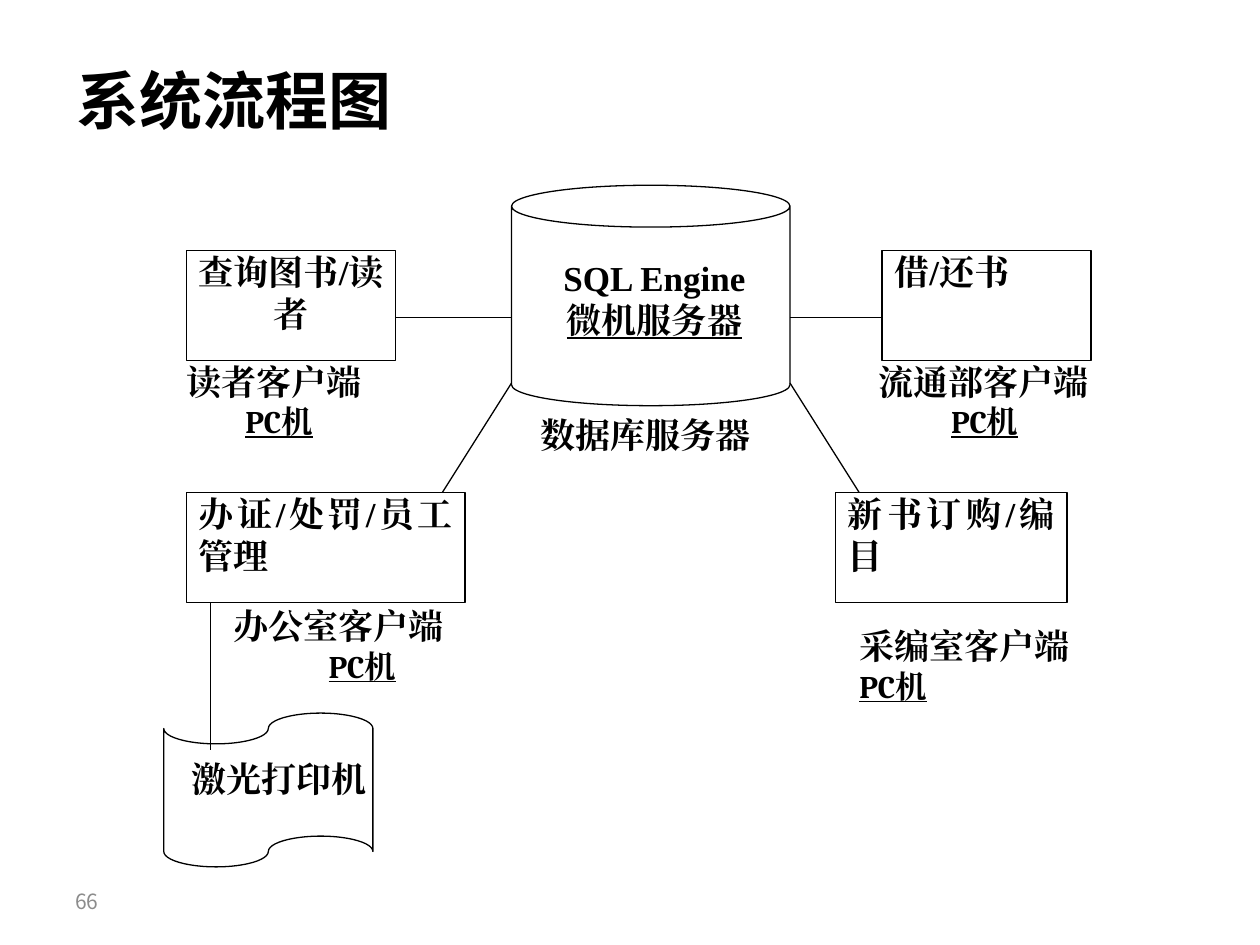
from lxml import etree
from pptx import Presentation
from pptx import util as u
from pptx.dml.color import RGBColor
from pptx.enum import shapes, text
from pptx.oxml.ns import qn

BLACK = RGBColor(0, 0, 0)
GREY = RGBColor(0x8C, 0x8C, 0x8C)
SERIF, LATIN, SANS = "Times New Roman", "Cambria", "Noto Sans CJK SC"
LEFT, CENTER, JUSTIFY = (text.PP_ALIGN.LEFT, text.PP_ALIGN.CENTER,
                         text.PP_ALIGN.JUSTIFY)
INSET = (0.1, 0.05, 0.1, 0.05)
NONE = (0, 0, 0, 0)
BOX_INSET = (0.1, 0, 0.1, 0.05)

# Grid of the diagram
LEFT_X, CAN_X, CAN_RIGHT = 1.48, 4.06, 6.27
TOP_Y, LOWER_Y, BOX_HEIGHT = 1.99, 3.91, 0.87
LINK_Y, CAN_FOOT = 2.52, 3.04


def inches(values):
    return [u.Inches(value) for value in values]


def add_paragraph(frame, words, first=False, size=20, font=SERIF, color=BLACK,
                  bold=True, underline=False, align=JUSTIFY):
    paragraph = frame.paragraphs[0] if first else frame.add_paragraph()
    paragraph.alignment = align
    run = paragraph.add_run()
    run.text = words
    run.font.size, run.font.name = u.Pt(size), font
    run.font.bold, run.font.underline = bold, underline
    run.font.color.rgb = color
    east_asian = etree.SubElement(run.font._element, qn("a:ea"))
    east_asian.set("typeface", font)
    run.font._element.find(qn("a:latin")).addnext(east_asian)


def write(shape, lines, insets=INSET, anchor=text.MSO_ANCHOR.TOP):
    """Fill a shape with (words, format) pairs, one paragraph each."""
    frame = shape.text_frame
    frame.word_wrap = True
    frame.auto_size = text.MSO_AUTO_SIZE.NONE
    frame.vertical_anchor = anchor
    (frame.margin_left, frame.margin_top,
     frame.margin_right, frame.margin_bottom) = inches(insets)
    for index, (words, style) in enumerate(lines):
        add_paragraph(frame, words, first=index == 0, **style)


def add_text(slide, place, lines, **options):
    write(slide.shapes.add_textbox(*inches(place)), lines, **options)


def add_outline(slide, kind, place):
    shape = slide.shapes.add_shape(kind, *inches(place))
    shape.shadow.inherit = False
    shape.fill.background()
    shape.line.color.rgb = BLACK
    shape.line.width = u.Pt(0.75)
    return shape


def add_box(slide, left, top, width, words, insets=BOX_INSET, align=JUSTIFY):
    box = add_outline(slide, shapes.MSO_SHAPE.RECTANGLE,
                      (left, top, width, BOX_HEIGHT))
    write(box, [(words, {"align": align})], insets=insets)


def add_client(slide, place, name, align=CENTER):
    machine = {"size": 18, "font": LATIN, "underline": True, "align": align}
    add_text(slide, place, [(name, {}), ("PC机", machine)], insets=NONE)


def add_link(slide, *ends):
    link = slide.shapes.add_connector(shapes.MSO_CONNECTOR.STRAIGHT,
                                      *inches(ends))
    link.line.color.rgb = BLACK
    link.line.width = u.Pt(0.75)
    etree.SubElement(link._element.spPr, qn("a:effectLst"))


def main():
    presentation = Presentation()
    presentation.slide_width, presentation.slide_height = inches((10, 7.5))
    slide = presentation.slides.add_slide(presentation.slide_layouts[5])

    # Title and page number
    title = slide.shapes.title
    title.left, title.top, title.width, title.height = inches((0.51, 0.44, 9, 1))
    write(title, [("系统流程图", {"size": 36, "font": SANS, "align": LEFT})])
    number = {"size": 12, "font": SANS, "color": GREY, "bold": False, "align": LEFT}
    add_text(slide, (0.5, 6.95, 2.33, 0.4), [("66", number)],
             anchor=text.MSO_ANCHOR.MIDDLE)

    # Client functions
    add_box(slide, LEFT_X, TOP_Y, 1.66, "查询图书/读者", insets=NONE, align=CENTER)
    add_box(slide, 7, TOP_Y, 1.66, "借/还书")
    add_box(slide, LEFT_X, LOWER_Y, 2.21, "办证/处罚/员工管理")
    add_box(slide, 6.63, LOWER_Y, 1.84, "新书订购/编目")

    # Links from the clients to the server
    add_link(slide, 3.14, LINK_Y, CAN_X, LINK_Y)
    add_link(slide, CAN_RIGHT, LINK_Y, 7, LINK_Y)
    add_link(slide, CAN_X, CAN_FOOT, CAN_X - 0.55, LOWER_Y)
    add_link(slide, CAN_RIGHT, CAN_FOOT, CAN_RIGHT + 0.55, LOWER_Y)

    # Client labels
    label_y = TOP_Y + BOX_HEIGHT
    add_client(slide, (LEFT_X, label_y, 1.47, 0.73), "读者客户端")
    add_client(slide, (1.85, 4.8, 2.05, 0.68), "办公室客户端")
    add_client(slide, (6.82, 4.96, 1.81, 0.52), "采编室客户端", align=JUSTIFY)
    add_client(slide, (6.97, label_y, 1.69, 0.73), "流通部客户端")

    # Database server
    can = add_outline(slide, shapes.MSO_SHAPE.CAN,
                      (CAN_X, 1.47, CAN_RIGHT - CAN_X, 1.75))
    can.adjustments[0] = 0.19
    add_text(slide, (4.13, TOP_Y, 2.13, 1.05),
             [("SQL Engine", {"align": CENTER}),
              ("微机服务器", {"align": CENTER, "underline": True})])
    add_text(slide, (4.29, 3.28, 1.81, 0.52), [("数据库服务器", {})], insets=NONE)

    # Printer
    add_outline(slide, shapes.MSO_SHAPE.FLOWCHART_PUNCHED_TAPE,
                (1.3, 5.66, 1.66, 1.22))
    add_text(slide, (LEFT_X, 6.01, 1.47, 0.52),
             [("激光打印机", {"align": CENTER})], insets=NONE)
    add_link(slide, 1.67, LOWER_Y + BOX_HEIGHT, 1.67, 5.95)

    presentation.save("out.pptx")


if __name__ == "__main__":
    main()
